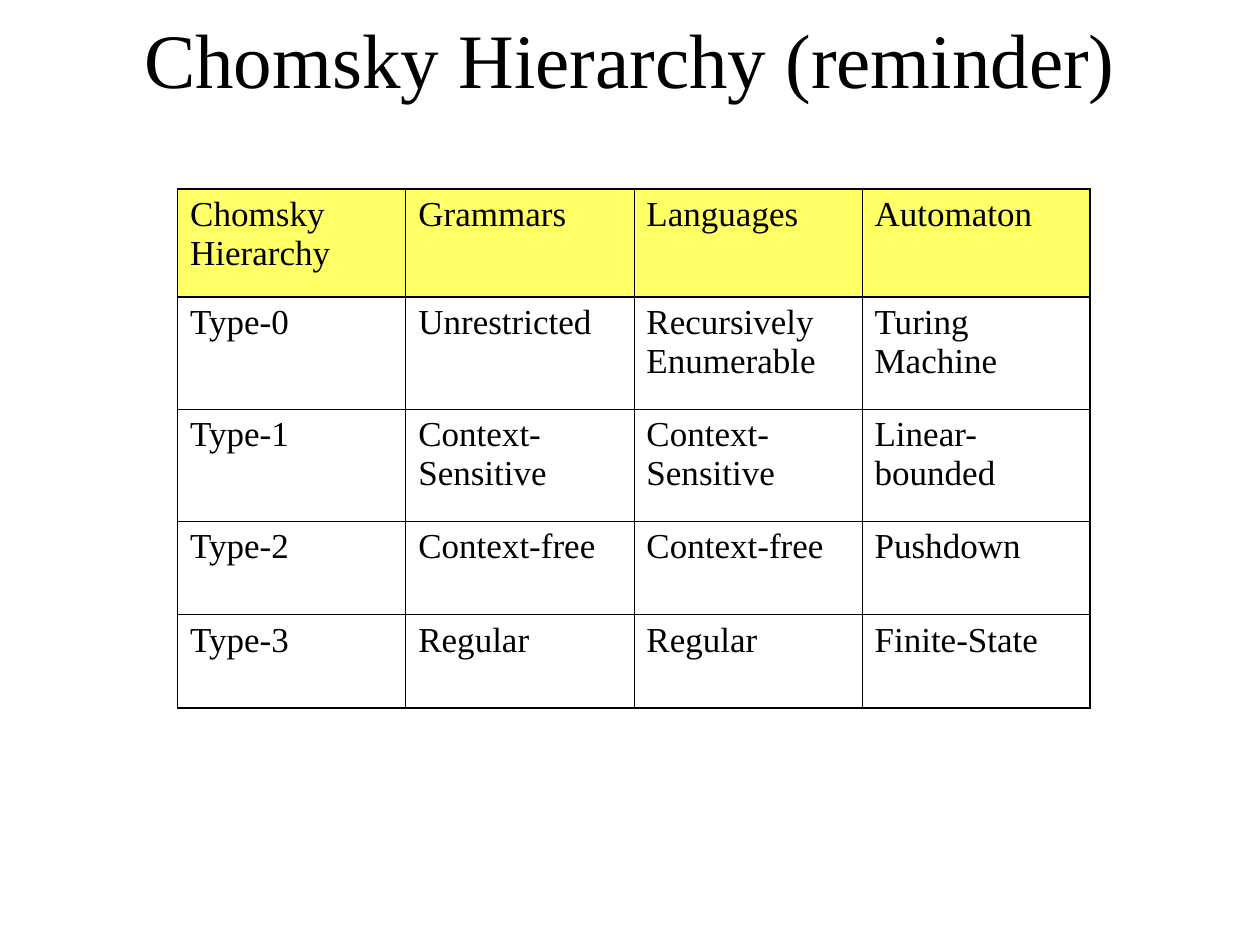
"""Build a slide with a table of the Chomsky hierarchy."""
import pptx
import pptx.dml.color
import pptx.enum.text
import pptx.oxml
import pptx.oxml.ns
import pptx.util

Cm = pptx.util.Cm
Pt = pptx.util.Pt
FONT = "Times New Roman"
COLORS = {"ink": "000000", "head": "FFFF66", "page": "FFFFFF"}
THIN, EDGE, RULE = 0.45, 1.08, 1.47
ROWS = [
    ["Chomsky Hierarchy", "Grammars", "Languages", "Automaton"],
    ["Type-0", "Unrestricted", "Recursively Enumerable", "Turing Machine"],
    ["Type-1", "Context-Sensitive", "Context-Sensitive", "Linear-bounded"],
    ["Type-2", "Context-free", "Context-free", "Pushdown"],
    ["Type-3", "Regular", "Regular", "Finite-State"],
]
HEIGHTS = [2.18, 2.26, 2.26, 1.88, 1.88]
WIDTH = 4.6


def color(name):
    return pptx.dml.color.RGBColor.from_string(COLORS[name])


def style(frame, size):
    for par in frame.paragraphs:
        for run in par.runs:
            run.font.name = FONT
            run.font.size = Pt(size)
            run.font.color.rgb = color("ink")


def add_title(slide, text):
    box = slide.shapes.add_textbox(Cm(1.9), Cm(0), Cm(21.6), Cm(2.33))
    frame = box.text_frame
    frame.word_wrap = True
    frame.vertical_anchor = pptx.enum.text.MSO_ANCHOR.MIDDLE
    frame.text = text
    frame.paragraphs[0].alignment = pptx.enum.text.PP_ALIGN.CENTER
    style(frame, 44)


def set_lines(cell, widths):
    props = cell._tc.get_or_add_tcPr()
    for i, (side, width) in enumerate(zip("LRTB", widths)):
        line = pptx.oxml.parse_xml(
            f'<a:ln{side} {pptx.oxml.ns.nsdecls("a")} w="{int(Pt(width))}">'
            f'<a:solidFill><a:srgbClr val="{COLORS["ink"]}"/></a:solidFill>'
            f'</a:ln{side}>')
        props.insert(i, line)


def fill_cell(cell, text, head):
    cell.text_frame.text = text
    cell.text_frame.paragraphs[0].space_before = Pt(5)
    style(cell.text_frame, 20)
    if head:
        cell.fill.solid()
        cell.fill.fore_color.rgb = color("head")
    else:
        cell.fill.background()


def add_grid(slide, rows):
    count, cols = len(rows), len(rows[0])
    frame = slide.shapes.add_table(count, cols, Cm(3.58), Cm(3.81),
                                   Cm(WIDTH * cols), Cm(sum(HEIGHTS)))
    table = frame.table
    table.horz_banding = False
    across = [EDGE, RULE] + [THIN] * (count - 2) + [EDGE]
    down = [EDGE] + [THIN] * (cols - 1) + [EDGE]
    for col in table.columns:
        col.width = Cm(WIDTH)
    for r, row in enumerate(rows):
        table.rows[r].height = Cm(HEIGHTS[r])
        for c, text in enumerate(row):
            cell = table.cell(r, c)
            fill_cell(cell, text, r == 0)
            set_lines(cell, (down[c], down[c + 1], across[r], across[r + 1]))


def main():
    deck = pptx.Presentation()
    deck.slide_width, deck.slide_height = Cm(25.4), Cm(19.05)
    slide = deck.slides.add_slide(deck.slide_layouts[6])
    slide.background.fill.solid()
    slide.background.fill.fore_color.rgb = color("page")
    add_title(slide, "Chomsky Hierarchy (reminder)")
    add_grid(slide, ROWS)
    deck.save("out.pptx")


if __name__ == "__main__":
    main()
